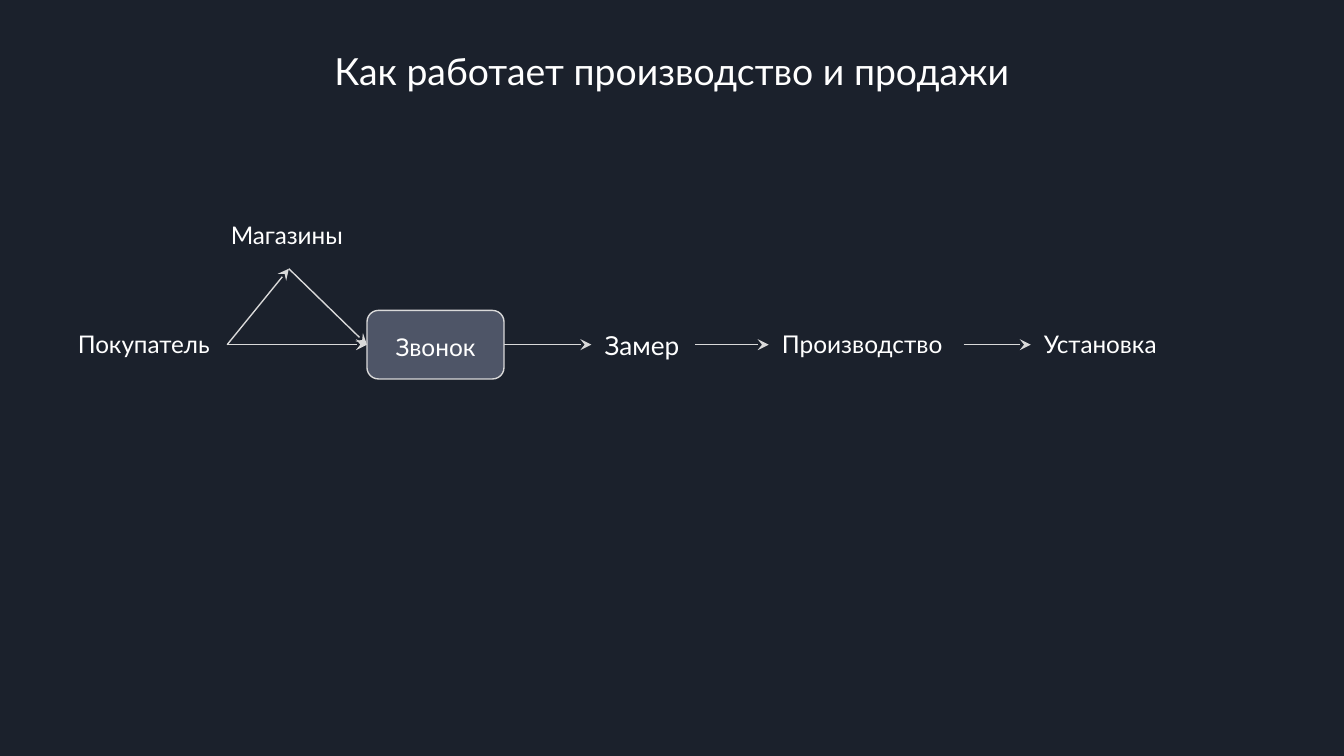
from dataclasses import dataclass

from lxml.etree import SubElement
from pptx import Presentation
from pptx.dml.color import RGBColor as RGB
from pptx.enum.shapes import MSO_CONNECTOR as Connector, MSO_SHAPE as Preset
from pptx.enum.text import MSO_ANCHOR as Anchor, MSO_AUTO_SIZE as AutoSize, PP_ALIGN as Align
from pptx.oxml.ns import qn
from pptx.util import Pt


@dataclass(frozen=True)
class Theme:
    background: RGB = RGB.from_string("1B212C")
    text: RGB = RGB.from_string("FFFFFF")
    box: RGB = RGB.from_string("4E5567")
    line: RGB = RGB.from_string("D9D9D9")
    font: str = "Lato"
    title_size: float = 20
    line_width: float = 0.75
    inset: float = 7.2


THEME = Theme()
ROW_MIDDLE = 184.65
LABEL_HEIGHT = 35.3
BOX_HEIGHT = 36.7
ROW_TOP = ROW_MIDDLE - LABEL_HEIGHT / 2
TOP, LEFT, BOTTOM, RIGHT = range(4)

LABELS = [
    ("Магазины", 116.6, 108.7, 76.3, 13),
    ("Покупатель", 34.6, ROW_TOP, 87.1, 13),
    ("Замер", 316.8, ROW_TOP, 55.44, 14),
    ("Производство", 411.8, ROW_TOP, 104.4, 13.1),
    ("Установка", 552.2, ROW_TOP, 76.3, 13),
]
FLOWS = [
    ("Покупатель", RIGHT, "Магазины", BOTTOM),
    ("Покупатель", RIGHT, "Звонок", LEFT),
    ("Магазины", BOTTOM, "Звонок", LEFT),
    ("Звонок", RIGHT, "Замер", LEFT),
    ("Замер", RIGHT, "Производство", LEFT),
    ("Производство", RIGHT, "Установка", LEFT),
]


def write(holder, wording, size, align=Align.LEFT):
    frame = holder.text_frame
    frame.auto_size = AutoSize.NONE
    frame.word_wrap = True
    frame.vertical_anchor = Anchor.TOP
    frame.margin_left = frame.margin_right = Pt(THEME.inset)
    frame.margin_top = frame.margin_bottom = Pt(THEME.inset)
    frame.text = wording
    paragraph = frame.paragraphs[0]
    paragraph.alignment = align
    paragraph.line_spacing = 1.15
    paragraph.space_before = Pt(0)
    paragraph.space_after = Pt(12)
    paragraph.font.name = THEME.font
    paragraph.font.size = Pt(size)
    paragraph.font.color.rgb = THEME.text


def place_title(slide, wording):
    title = slide.shapes.title
    title.left, title.top = Pt(111.6), Pt(15.1)
    title.width, title.height = Pt(496.8), Pt(LABEL_HEIGHT)
    write(title, wording, THEME.title_size, Align.CENTER)


def add_label(slide, wording, left, top, width, size):
    label = slide.shapes.add_textbox(Pt(left), Pt(top), Pt(width), Pt(LABEL_HEIGHT))
    write(label, wording, size)
    return label


def outline(line):
    line.color.rgb = THEME.line
    line.width = Pt(THEME.line_width)


def add_box(slide, wording, left, width, size):
    box = slide.shapes.add_shape(
        Preset.ROUNDED_RECTANGLE,
        Pt(left), Pt(ROW_MIDDLE - BOX_HEIGHT / 2), Pt(width), Pt(BOX_HEIGHT),
    )
    box.shadow.inherit = False
    box.fill.solid()
    box.fill.fore_color.rgb = THEME.box
    outline(box.line)
    write(box, wording, size, Align.CENTER)
    return box


def add_arrow(slide, source, source_side, target, target_side):
    arrow = slide.shapes.add_connector(Connector.STRAIGHT, 0, 0, 0, 0)
    arrow.begin_connect(source, source_side)
    arrow.end_connect(target, target_side)
    outline(arrow.line)
    SubElement(arrow.line._get_or_add_ln(), qn("a:tailEnd"), type="stealth")
    SubElement(arrow._element.spPr, qn("a:effectLst"))


def main():
    deck = Presentation()
    deck.slide_width, deck.slide_height = Pt(720), Pt(405)
    slide = deck.slides.add_slide(deck.slide_layouts[5])
    slide.background.fill.solid()
    slide.background.fill.fore_color.rgb = THEME.background

    place_title(slide, "Как работает производство и продажи")
    steps = {label[0]: add_label(slide, *label) for label in LABELS}
    steps["Звонок"] = add_box(slide, "Звонок", 196.6, 73.4, 13.1)
    for source, source_side, target, target_side in FLOWS:
        add_arrow(slide, steps[source], source_side, steps[target], target_side)

    deck.save("out.pptx")


if __name__ == "__main__":
    main()
